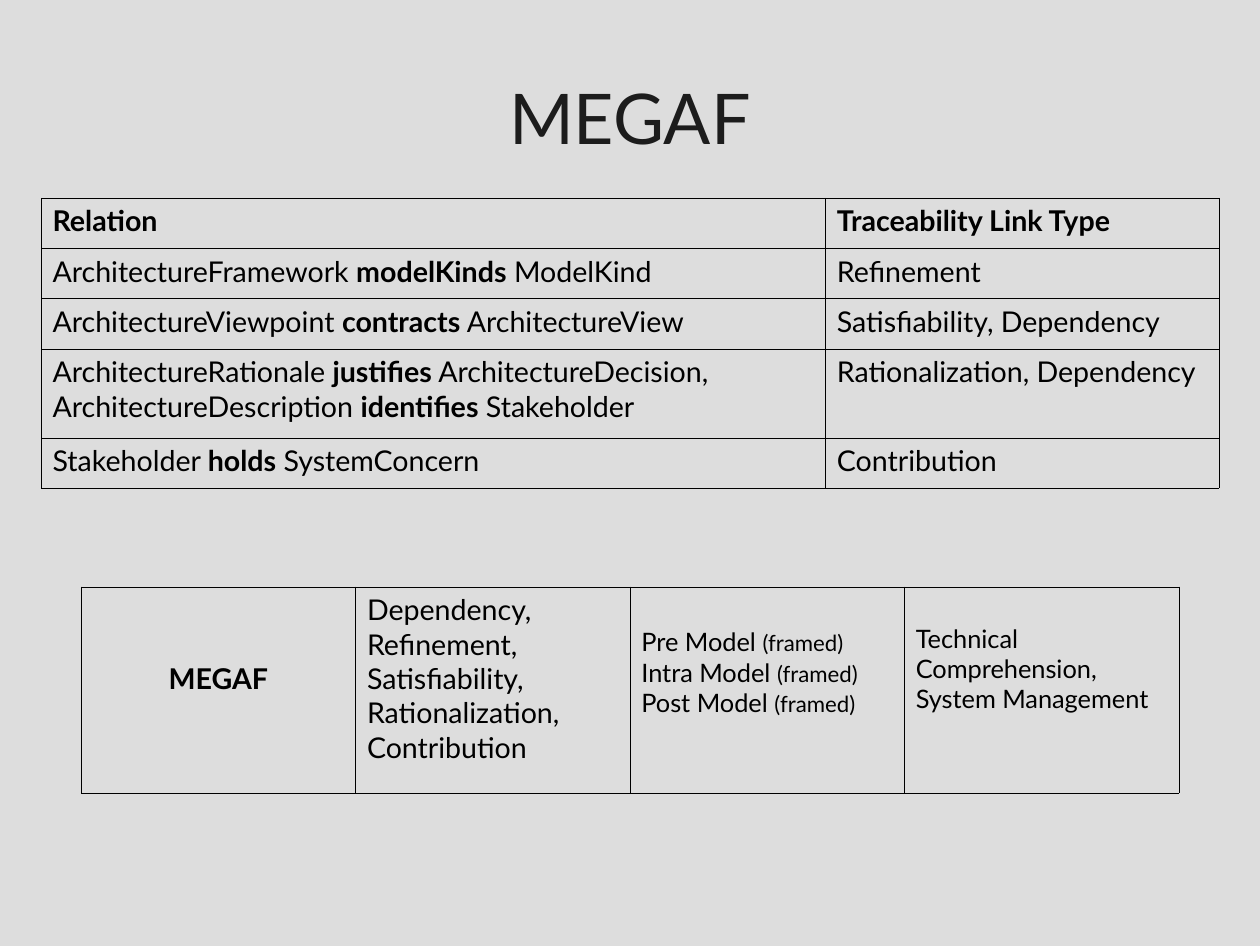
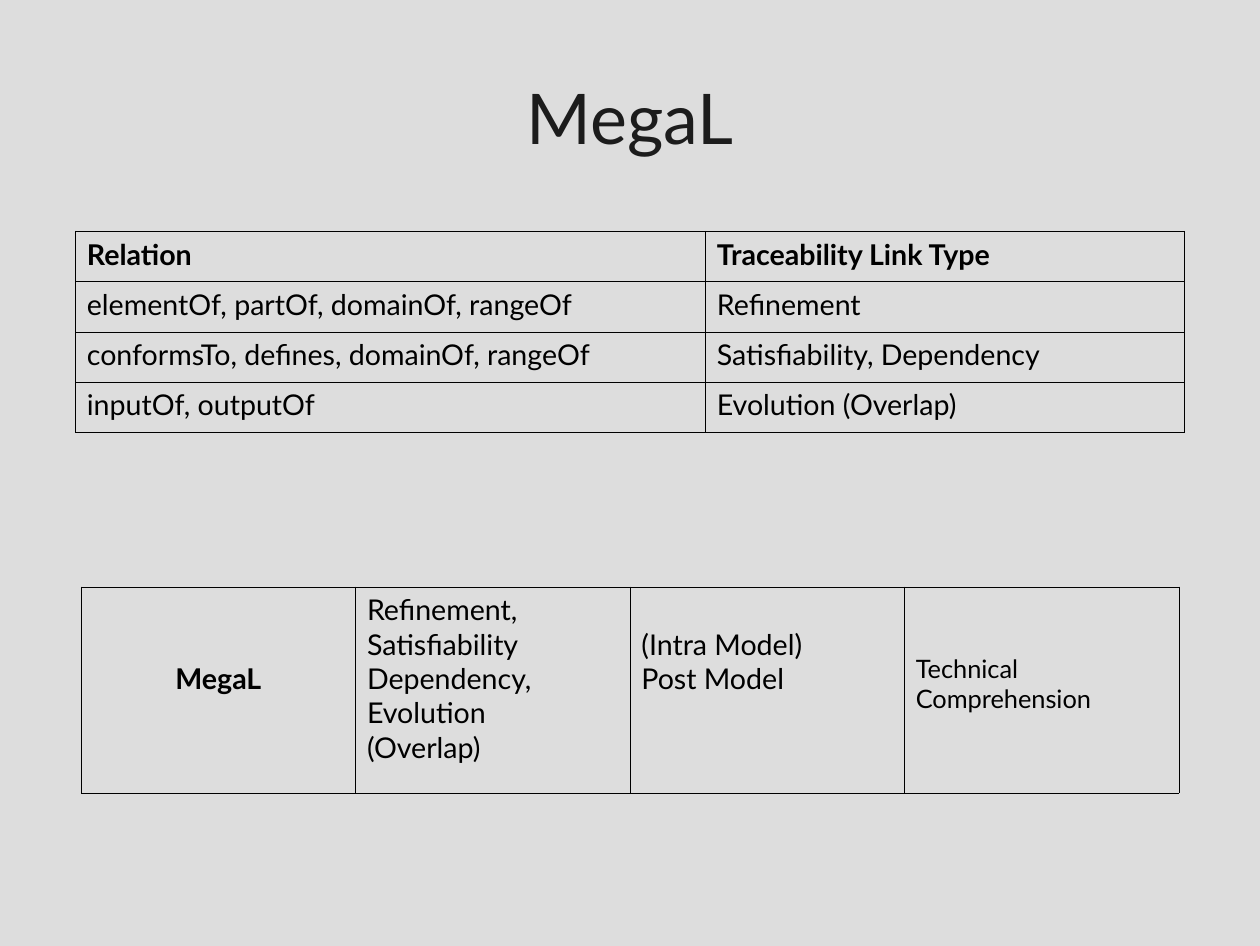
from lxml import etree
from pptx import Presentation
from pptx.dml.color import RGBColor
from pptx.enum.text import MSO_ANCHOR, PP_ALIGN
from pptx.oxml.ns import qn
from pptx.util import Inches, Pt

CENTER = PP_ALIGN.CENTER
LEFT = PP_ALIGN.LEFT
MIDDLE = MSO_ANCHOR.MIDDLE
BACKGROUND = RGBColor(0xDD, 0xDD, 0xDD)
TITLE_COLOR = RGBColor(0x1C, 0x1C, 0x1C)
BODY_COLOR = RGBColor(0, 0, 0)
BORDER_COLOR = RGBColor(0, 0, 0)
BORDER_WIDTH = Pt(0.06)
FONT = "Lato"
LINE_HEIGHT = 1.2
PADDING = 0.05
ROW_HEIGHT = 0.44
BODY_SIZE = 18
SMALL_SIZE = 16
NOTE_SIZE = 14
HEADER = ("Relation", "Traceability Link Type")


def plain(*lines, size=BODY_SIZE):
    return [[(line, size, False)] for line in lines]


def bold(line):
    return [[(line, BODY_SIZE, True)]]


def relation(subject, verb, target):
    return [(subject + " ", BODY_SIZE, False), (verb, BODY_SIZE, True),
            (" " + target, BODY_SIZE, False)]


def framed(model):
    return [(model + " ", SMALL_SIZE, False), ("(framed)", NOTE_SIZE, False)]


def lowered(lines, size=BODY_SIZE):
    return PADDING + lines * size * LINE_HEIGHT / 72


class Deck:
    def __init__(self):
        self.prs = Presentation()
        self.prs.slide_width = Inches(11.02)
        self.prs.slide_height = Inches(8.27)
        fill = self.prs.slide_master.background.fill
        fill.solid()
        fill.fore_color.rgb = BACKGROUND
        self.slide = None

    def add_slide(self, title):
        self.slide = self.prs.slides.add_slide(self.prs.slide_layouts[6])
        box = self.slide.shapes.add_textbox(
            Inches(0.55), Inches(0.33), Inches(9.92), Inches(1.38))
        frame = box.text_frame
        layout = dict(word_wrap=True, vertical_anchor=MIDDLE, margin_left=0,
                      margin_right=0, margin_top=0, margin_bottom=0)
        for name, value in layout.items():
            setattr(frame, name, value)
        self.add_lines(frame, [[(title, 44, False)]], CENTER, TITLE_COLOR)

    def add_lines(self, frame, lines, align=LEFT, color=BODY_COLOR):
        for index, runs in enumerate(lines):
            paragraph = frame.add_paragraph() if index else frame.paragraphs[0]
            paragraph.alignment = align
            for text, size, is_bold in runs:
                run = paragraph.add_run()
                run.text = text
                for name, value in dict(name=FONT, size=Pt(size), bold=is_bold).items():
                    setattr(run.font, name, value)
                run.font.color.rgb = color

    def style_cell(self, cell, top):
        cell.fill.background()
        margins = dict(margin_left=0.1, margin_right=0.1,
                       margin_top=top, margin_bottom=PADDING)
        for name, value in margins.items():
            setattr(cell, name, Inches(value))
        properties = cell._tc.get_or_add_tcPr()
        for position, side in enumerate(("lnL", "lnR", "lnT", "lnB")):
            border = etree.Element(qn("a:" + side), w=str(int(BORDER_WIDTH)))
            solid = etree.SubElement(border, qn("a:solidFill"))
            etree.SubElement(solid, qn("a:srgbClr"), val=str(BORDER_COLOR))
            properties.insert(position, border)

    def add_table(self, left, top, widths, heights, rows):
        table = self.slide.shapes.add_table(
            len(heights), len(widths), Inches(left), Inches(top),
            Inches(sum(widths)), Inches(sum(heights))).table
        table.first_row = False
        table.horz_banding = False
        for column, width in zip(table.columns, widths):
            column.width = Inches(width)
        for row, height, contents in zip(table.rows, heights, rows):
            row.height = Inches(height)
            for cell, (lines, cell_top, align) in zip(row.cells, contents):
                self.style_cell(cell, cell_top)
                self.add_lines(cell.text_frame, lines, align)

    def add_relations(self, left, top, widths, relations):
        rows = [[bold(label) for label in HEADER]]
        rows += [(lines, plain(link_type)) for lines, link_type in relations]
        heights = [ROW_HEIGHT + 0.34 * (len(row[0]) - 1) for row in rows]
        self.add_table(left, top, widths, heights,
                       [[(lines, PADDING, LEFT) for lines in row] for row in rows])

    def add_summary(self, name, link_types, models, purposes, purpose_offset):
        row = [(bold(name), lowered(2), CENTER),
               (plain(*link_types), PADDING, LEFT),
               (models, lowered(1), LEFT),
               (plain(*purposes, size=SMALL_SIZE),
                lowered(purpose_offset, SMALL_SIZE), LEFT)]
        self.add_table(0.71, 5.13, [2.4] * 4, [1.8], [row])


def main():
    deck = Deck()

    deck.add_slide("MEGAF")
    deck.add_relations(0.36, 1.73, (6.86, 3.44), [
        ([relation("ArchitectureFramework", "modelKinds", "ModelKind")], "Refinement"),
        ([relation("ArchitectureViewpoint", "contracts", "ArchitectureView")],
         "Satisfiability, Dependency"),
        ([relation("ArchitectureRationale", "justifies", "ArchitectureDecision,"),
          relation("ArchitectureDescription", "identifies", "Stakeholder")],
         "Rationalization, Dependency"),
        ([relation("Stakeholder", "holds", "SystemConcern")], "Contribution"),
    ])
    deck.add_summary(
        "MEGAF",
        ("Dependency,", "Refinement,", "Satisfiability,", "Rationalization,",
         "Contribution"),
        [framed(model) for model in ("Pre Model", "Intra Model", "Post Model")],
        ("Technical Comprehension,", "System Management"), 1)

    deck.add_slide("MegaL")
    deck.add_relations(0.66, 2.02, (5.51, 4.19), [
        (plain("elementOf, partOf, domainOf, rangeOf"), "Refinement"),
        (plain("conformsTo, defines, domainOf, rangeOf"), "Satisfiability, Dependency"),
        (plain("inputOf, outputOf"), "Evolution (Overlap)"),
    ])
    deck.add_summary(
        "MegaL",
        ("Refinement,", "Satisfiability", "Dependency,", "Evolution", "(Overlap)"),
        plain("(Intra Model)", "Post Model"),
        ("Technical Comprehension",), 2)

    deck.prs.save("out.pptx")


if __name__ == "__main__":
    main()
